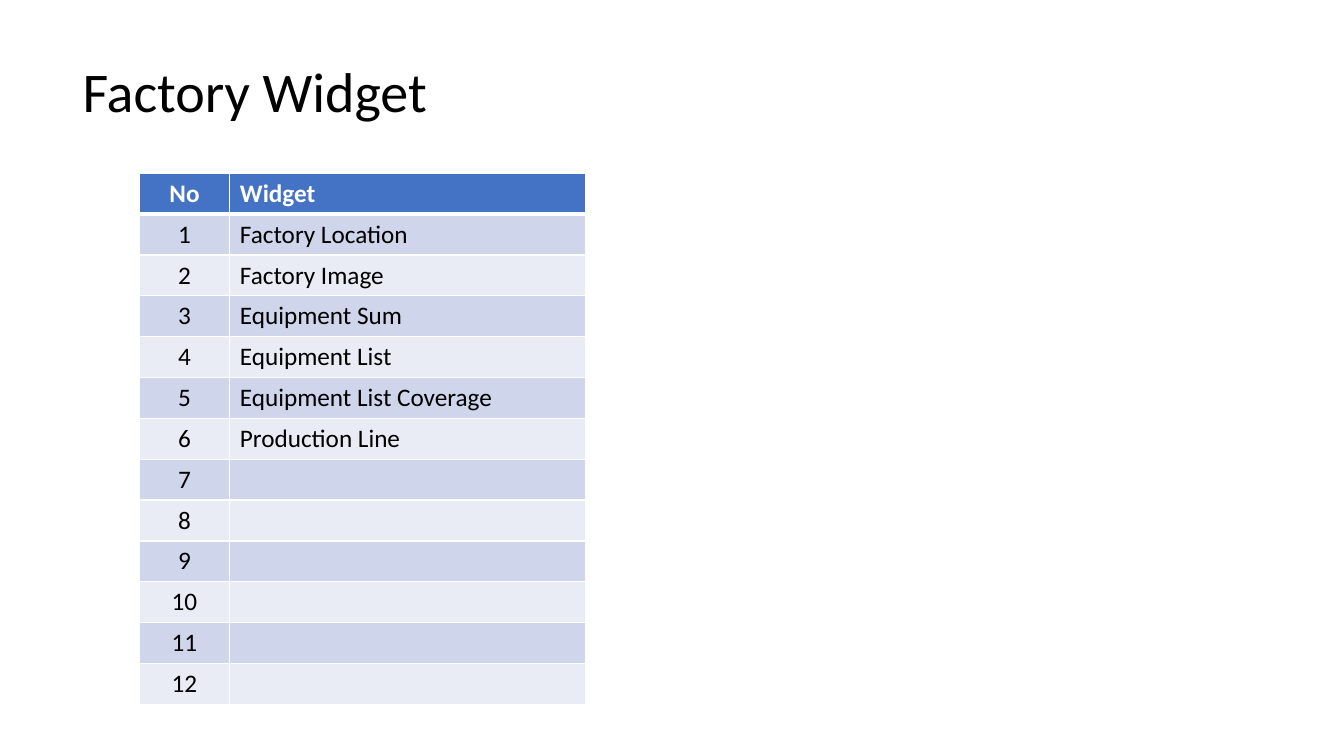
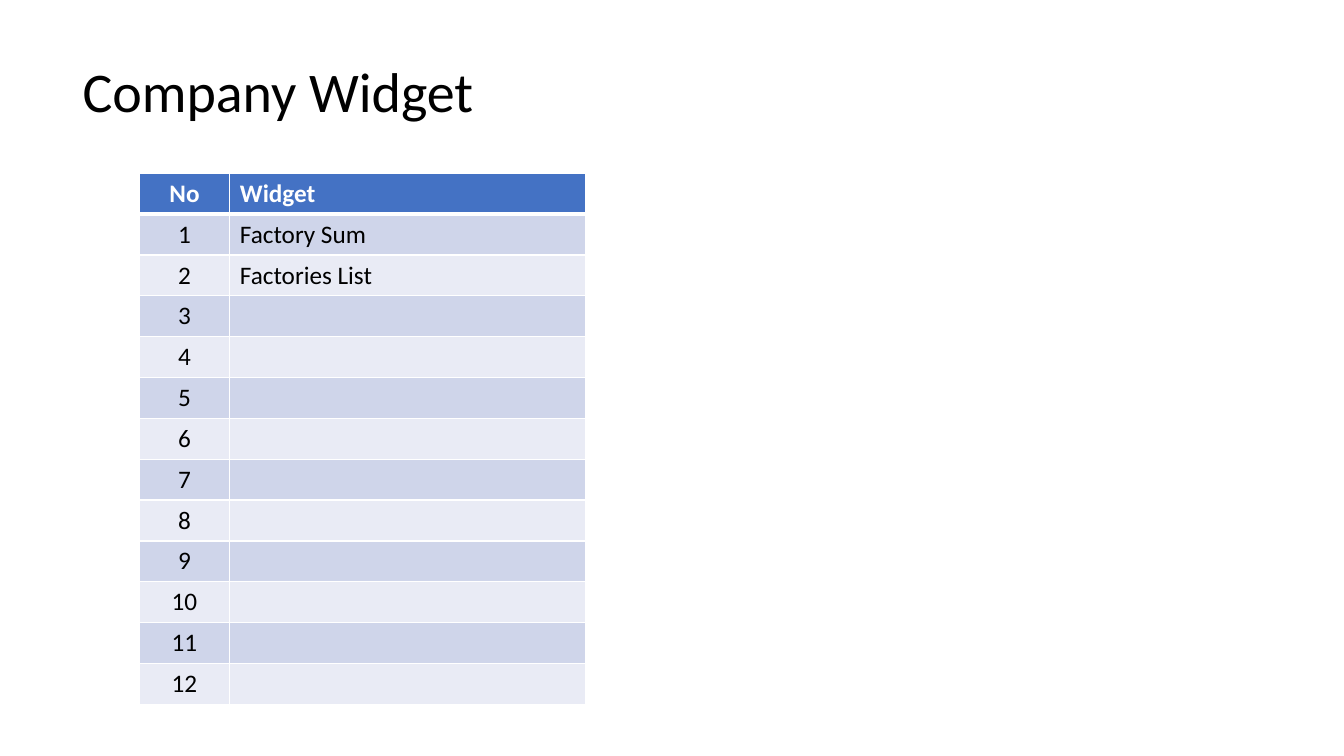
from lxml import etree
from pptx import Presentation
from pptx.dml.color import RGBColor
from pptx.enum.text import MSO_AUTO_SIZE, PP_ALIGN
from pptx.oxml.ns import qn
from pptx.util import Inches, Pt

CENTER, LEFT = PP_ALIGN.CENTER, PP_ALIGN.LEFT
FIT_SHAPE = MSO_AUTO_SIZE.SHAPE_TO_FIT_TEXT

SLIDES = [
    ("Factory Widget", 3.65, [
        "Factory Location", "Factory Image", "Equipment Sum",
        "Equipment List", "Equipment List Coverage", "Production Line",
    ]),
    ("Company Widget", 4.12, ["Factory Sum", "Factories List"]),
]
HEADER = ("No", "Widget")
ITEM_ROWS = 12
COLUMN_WIDTHS = (0.9, 3.53)
TABLE_LEFT, TABLE_TOP, TABLE_HEIGHT = 1.38, 1.72, 5.27

FONT = "Calibri"
BLACK, WHITE = "000000", "FFFFFF"
HEADER_FILL = "4472C4"
BAND_FILLS = ("CFD5EA", "E9EBF5")
THIN, THICK = 1, 3


def rgb(value):
    return RGBColor.from_string(value)


def style_text(p, size, color, bold=False, align=LEFT):
    p.alignment = align
    for r in p.runs:
        r.font.name = FONT
        r.font.size = Pt(size)
        r.font.bold = bold
        r.font.color.rgb = rgb(color)


def add_border(cell, side, width):
    tc_pr = cell._tc.get_or_add_tcPr()
    ln = etree.SubElement(tc_pr, qn(f"a:ln{side}"), w=str(Pt(width)))
    fill = etree.SubElement(ln, qn("a:solidFill"))
    etree.SubElement(fill, qn("a:srgbClr"), val=WHITE)


def add_title(s, text, width):
    sp = s.shapes.add_textbox(Inches(0.72), Inches(0.51), Inches(width), Inches(0.77))
    tf = sp.text_frame
    tf.word_wrap = False
    tf.auto_size = FIT_SHAPE
    tf.text = text
    style_text(tf.paragraphs[0], 40, BLACK)


def style_cell(cell, row, col):
    is_header = row == 0
    widths = {
        "L": THIN,
        "R": THIN,
        "T": THICK if row == 1 else THIN,
        "B": THICK if is_header else THIN,
    }
    for side, width in widths.items():
        add_border(cell, side, width)
    cell.fill.solid()
    cell.fill.fore_color.rgb = rgb(HEADER_FILL if is_header else BAND_FILLS[(row - 1) % 2])
    style_text(cell.text_frame.paragraphs[0], 18, WHITE if is_header else BLACK,
               is_header, CENTER if col == 0 else LEFT)


def add_widget_table(s, widgets):
    names = widgets + [""] * (ITEM_ROWS - len(widgets))
    rows = [HEADER] + [(str(no), name) for no, name in enumerate(names, 1)]
    table = s.shapes.add_table(
        len(rows), len(HEADER), Inches(TABLE_LEFT), Inches(TABLE_TOP),
        Inches(sum(COLUMN_WIDTHS)), Inches(TABLE_HEIGHT)).table
    for column, width in zip(table.columns, COLUMN_WIDTHS):
        column.width = Inches(width)
    for row, values in enumerate(rows):
        for col, text in enumerate(values):
            cell = table.cell(row, col)
            if text:
                cell.text = text
            style_cell(cell, row, col)


def main():
    prs = Presentation()
    prs.slide_width, prs.slide_height = Inches(13.33), Inches(7.5)
    for title, width, widgets in SLIDES:
        s = prs.slides.add_slide(prs.slide_layouts[6])
        add_title(s, title, width)
        add_widget_table(s, widgets)
    prs.save("out.pptx")


if __name__ == "__main__":
    main()
